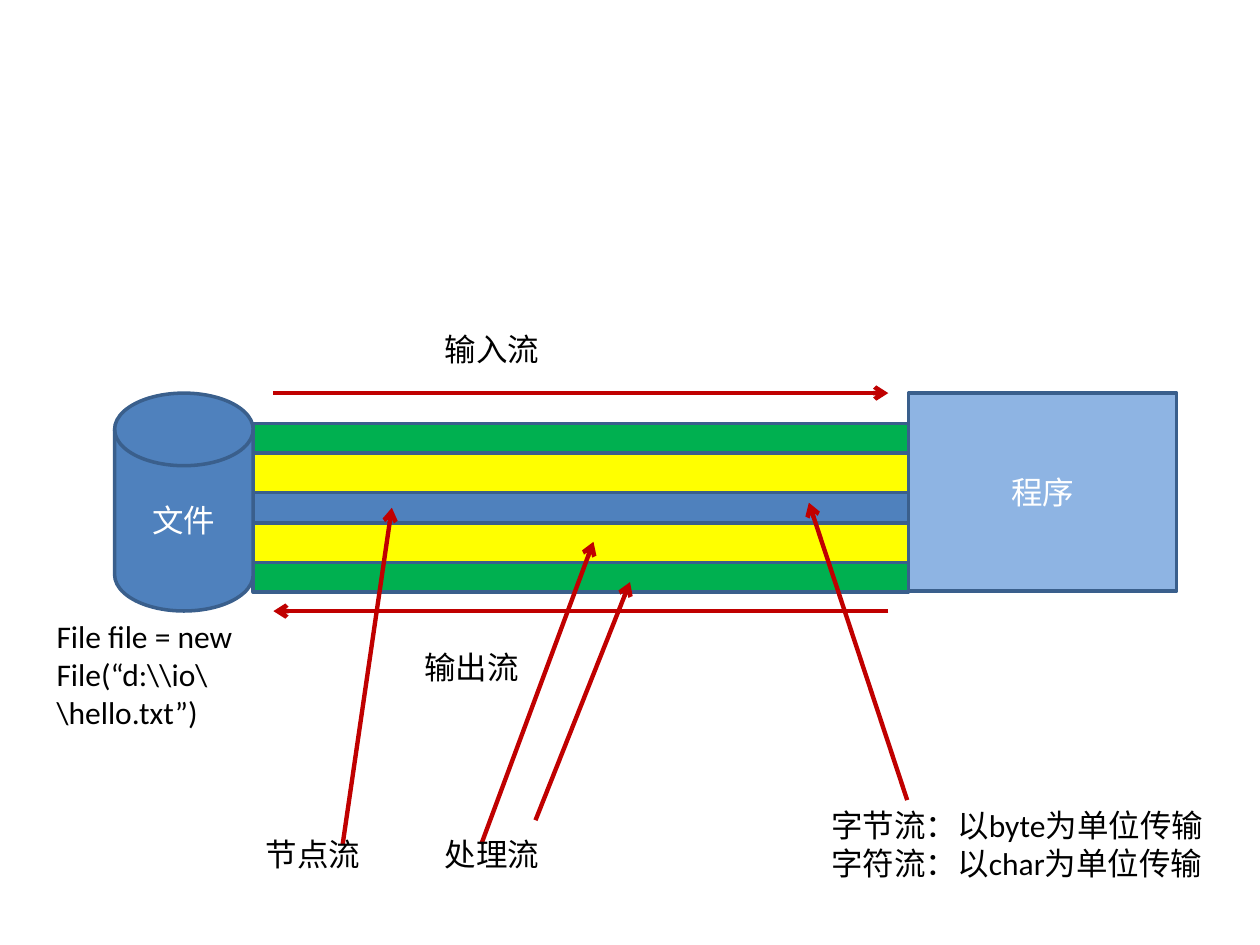
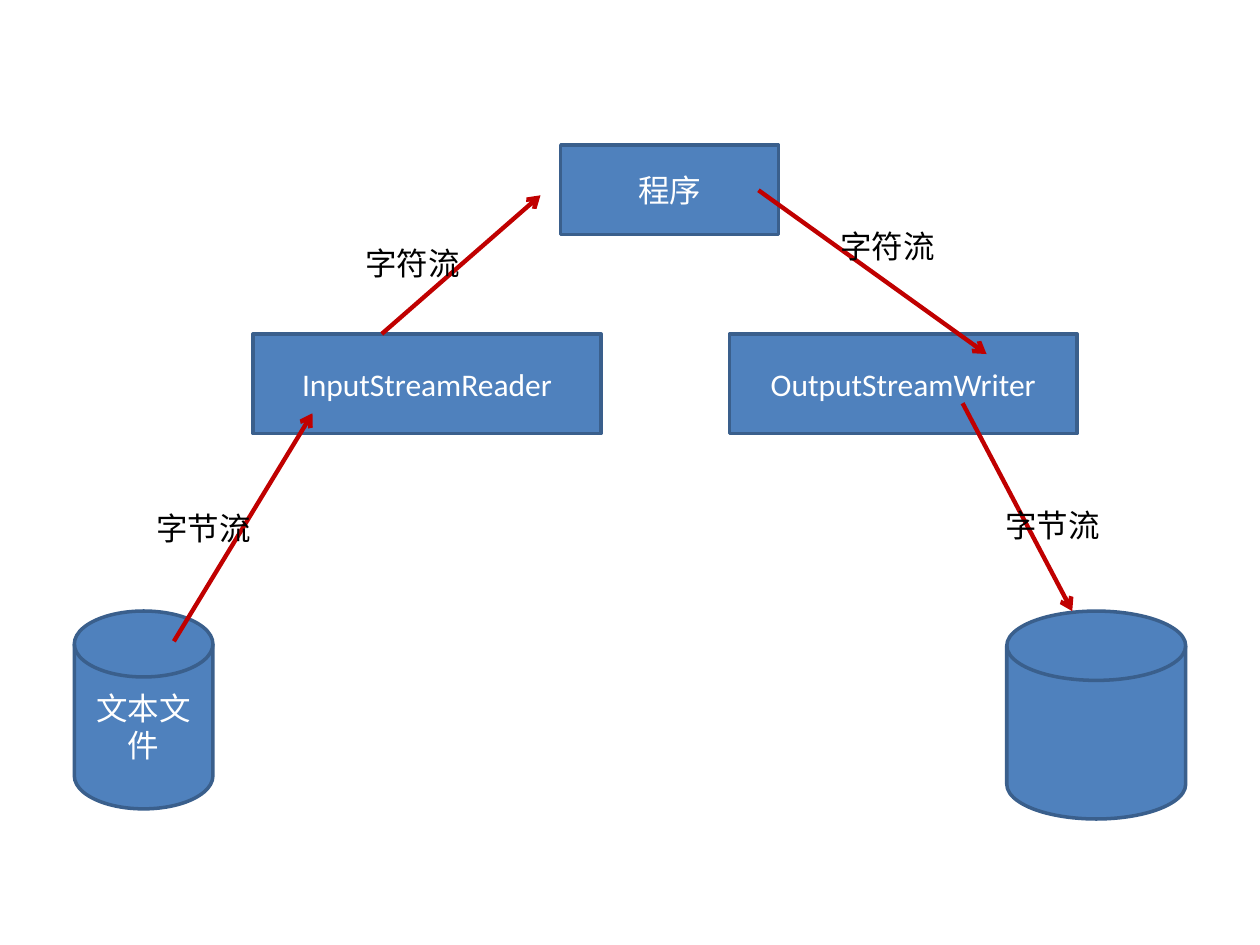
from dataclasses import dataclass

from lxml import etree
from pptx import Presentation
from pptx.dml.color import RGBColor
from pptx.enum.shapes import MSO_CONNECTOR, MSO_SHAPE
from pptx.enum.text import MSO_ANCHOR, MSO_AUTO_SIZE, PP_ALIGN
from pptx.oxml.ns import qn
from pptx.util import Inches, Pt

RECTANGLE = MSO_SHAPE.RECTANGLE
DISK = MSO_SHAPE.FLOWCHART_MAGNETIC_DISK
STRAIGHT = MSO_CONNECTOR.STRAIGHT
MIDDLE, TOP = MSO_ANCHOR.MIDDLE, MSO_ANCHOR.TOP
CENTER, LEFT = PP_ALIGN.CENTER, PP_ALIGN.LEFT
GROW, FIXED = MSO_AUTO_SIZE.SHAPE_TO_FIT_TEXT, MSO_AUTO_SIZE.NONE


@dataclass(frozen=True)
class Theme:
    font: str = "Calibri"
    size: float = 18
    ink: str = "000000"
    paper: str = "FFFFFF"
    blue: str = "4F81BD"
    pale_blue: str = "8EB4E3"
    green: str = "00B050"
    yellow: str = "FFFF00"
    outline: str = "3A5F8C"
    outline_width: float = 2
    arrow: str = "C00000"
    arrow_width: float = 2.5


class Diagram:
    COLUMNS, ROWS = 100, 75

    def __init__(self, theme):
        self.theme = theme
        self.deck = Presentation()
        self.deck.slide_width, self.deck.slide_height = Inches(10), Inches(7.5)
        self.slide = None

    def new_slide(self):
        self.slide = self.deck.slides.add_slide(self.deck.slide_layouts[6])
        background = self.slide.background.fill
        background.solid()
        background.fore_color.rgb = RGBColor.from_string(self.theme.paper)

    def place(self, column, row):
        return (round(self.deck.slide_width * column / self.COLUMNS),
                round(self.deck.slide_height * row / self.ROWS))

    def stroke(self, line, color, width):
        line.color.rgb = RGBColor.from_string(color)
        line.width = Pt(width)

    def set_text(self, frame, text, color, align, frame_format):
        for name, value in frame_format.items():
            setattr(frame, name, value)
        frame.text = text
        font_format = {"name": self.theme.font, "size": Pt(self.theme.size)}
        for paragraph in frame.paragraphs:
            paragraph.alignment = align
            for run in paragraph.runs:
                for name, value in font_format.items():
                    setattr(run.font, name, value)
                run.font.color.rgb = RGBColor.from_string(color)

    def block(self, column, row, width, height, text="", fill=None, kind=RECTANGLE):
        shape = self.slide.shapes.add_shape(
            kind, *self.place(column, row), *self.place(width, height))
        shape.shadow.inherit = False
        shape.fill.solid()
        shape.fill.fore_color.rgb = RGBColor.from_string(fill or self.theme.blue)
        self.stroke(shape.line, self.theme.outline, self.theme.outline_width)
        if text:
            self.set_text(shape.text_frame, text, self.theme.paper, CENTER,
                          {"word_wrap": True, "auto_size": FIXED,
                           "vertical_anchor": MIDDLE})

    def label(self, column, row, width, text, height=4):
        box = self.slide.shapes.add_textbox(
            *self.place(column, row), *self.place(width, height))
        self.set_text(box.text_frame, text, self.theme.ink, LEFT,
                      {"word_wrap": True, "auto_size": GROW, "vertical_anchor": TOP})

    def arrow(self, start, end):
        connector = self.slide.shapes.add_connector(
            STRAIGHT, *self.place(*start), *self.place(*end))
        self.stroke(connector.line, self.theme.arrow, self.theme.arrow_width)
        properties = connector._element.spPr
        head = etree.SubElement(properties.find(qn("a:ln")), qn("a:tailEnd"))
        head.set("type", "arrow")
        etree.SubElement(properties, qn("a:effectLst"))


def stream_kinds(diagram):
    theme = diagram.theme
    diagram.new_slide()

    pipe_left, pipe_width, pipe_axis = 20.1, 52, 40.3
    for thickness, fill in ((13.4, theme.green), (8.7, theme.yellow), (2.4, theme.blue)):
        diagram.block(pipe_left, pipe_axis - thickness / 2, pipe_width, thickness, fill=fill)

    flow_top, flow_bottom = 31.2, 48.5
    diagram.block(pipe_left + pipe_width, flow_top, 21.3, 15.7, "程序", theme.pale_blue)
    diagram.block(9.1, flow_top, 11, flow_bottom - flow_top, "文件", kind=DISK)

    flow_start, flow_end = 21.7, 70.5
    diagram.arrow((flow_start, flow_top), (flow_end, flow_top))
    diagram.arrow((flow_end, flow_bottom), (flow_start, flow_bottom))
    diagram.label(34.3, 25.7, 26, "输入流")
    diagram.label(32.7, 50.9, 19.7, "输出流")

    for start, end in (((72, 63.5), (64.2, 39.9)),
                       ((27.2, 67), (31.1, 40.3)),
                       ((38.2, 67), (47.1, 43)),
                       ((42.5, 65.1), (50, 46.2))):
        diagram.arrow(start, end)

    diagram.label(65, 63.5, 35, "字节流：以byte为单位传输\n字符流：以char为单位传输", 7.1)
    diagram.label(3.5, 48.5, 20.5, r"File file = new File(“d:\\io\\hello.txt”)", 10.1)
    diagram.label(20.1, 65.8, 11, "节点流")
    diagram.label(34.3, 65.8, 13, "处理流")


def stream_conversion(diagram):
    diagram.new_slide()

    file_row, converter_row = 48.5, 26.5
    diagram.block(5.9, file_row, 11, 15.7, "文本文件", kind=DISK)
    diagram.block(79.9, file_row, 14.2, 16.5, kind=DISK)
    for column, converter in ((20.1, "InputStreamReader"), (57.9, "OutputStreamWriter")):
        diagram.block(column, converter_row, 27.6, 7.9, converter)
    diagram.block(44.5, 11.5, 17.3, 7.1, "程序")

    for start, end in (((13.8, 50.9), (24.8, 32.8)),
                       ((30.3, converter_row), (42.9, 15.5)),
                       ((60.2, 15.1), (78.3, 28.1)),
                       ((76.4, 32), (85.1, file_row))):
        diagram.arrow(start, end)

    for column, row, width, stream in ((11.4, 39.9, 13.4, "字节流"),
                                       (28, 18.9, 15, "字符流"),
                                       (65.7, 17.5, 16.5, "字符流"),
                                       (78.8, 39.7, 12.6, "字节流")):
        diagram.label(column, row, width, stream)


def main():
    diagram = Diagram(Theme())
    stream_kinds(diagram)
    stream_conversion(diagram)
    diagram.deck.save("out.pptx")


if __name__ == "__main__":
    main()
